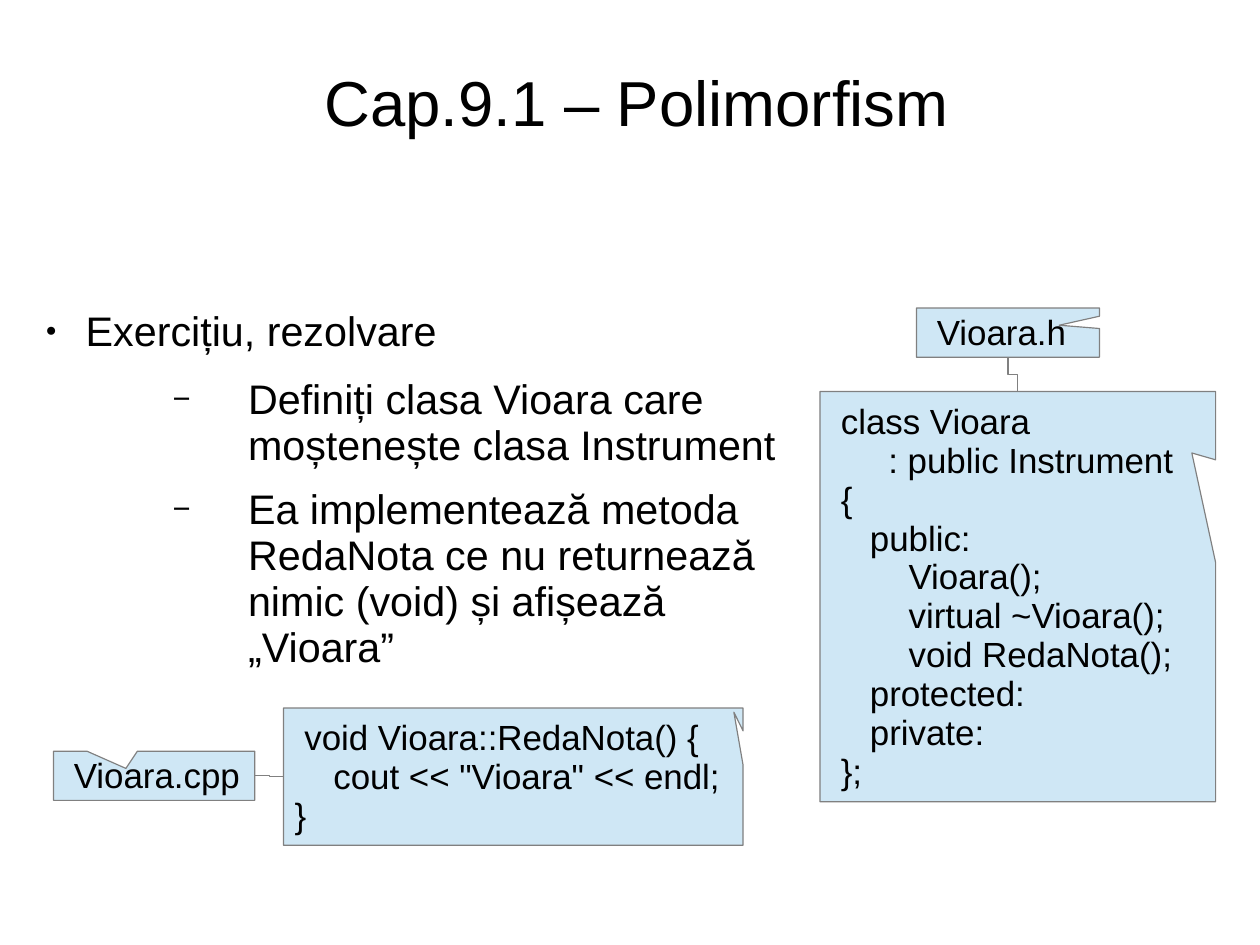
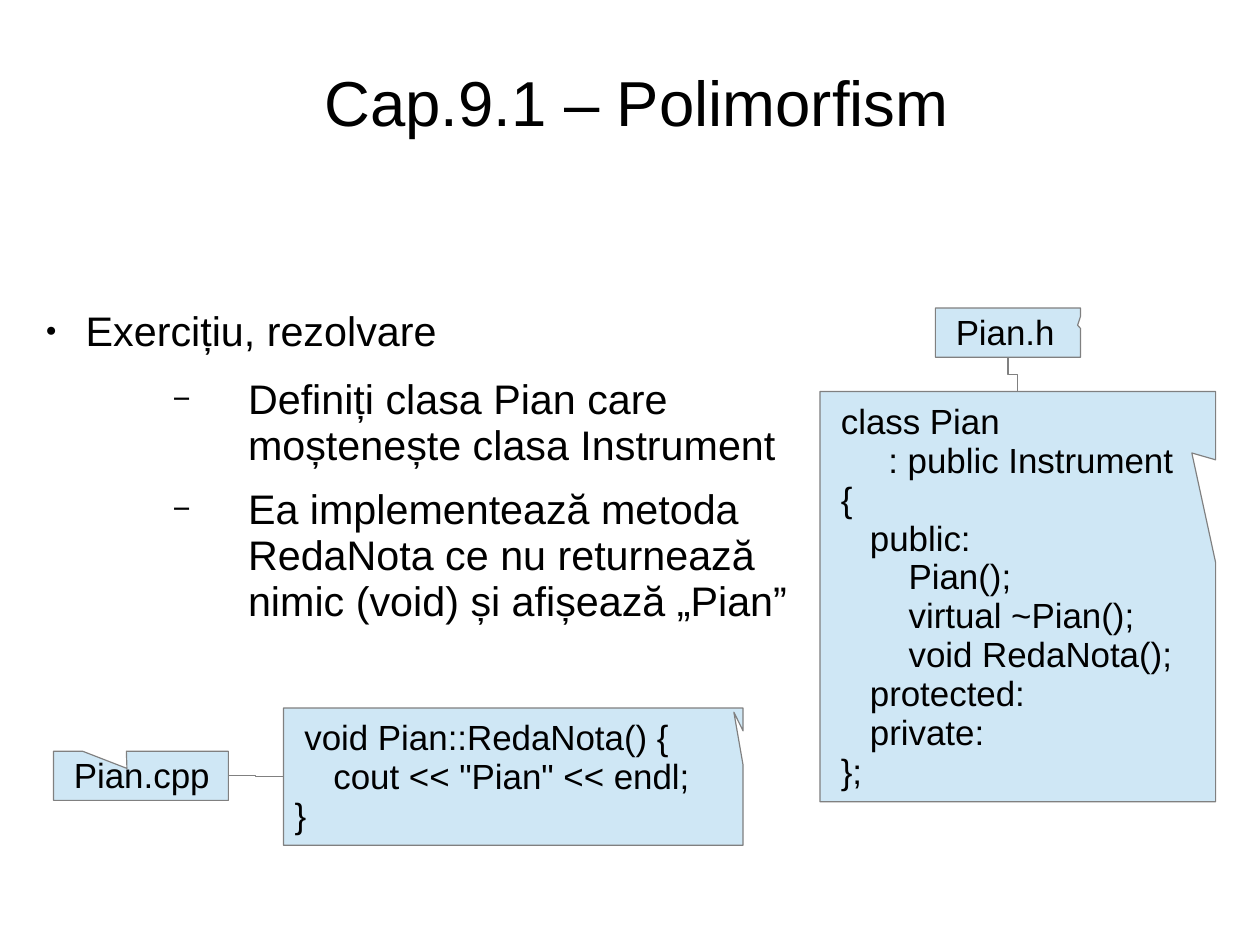
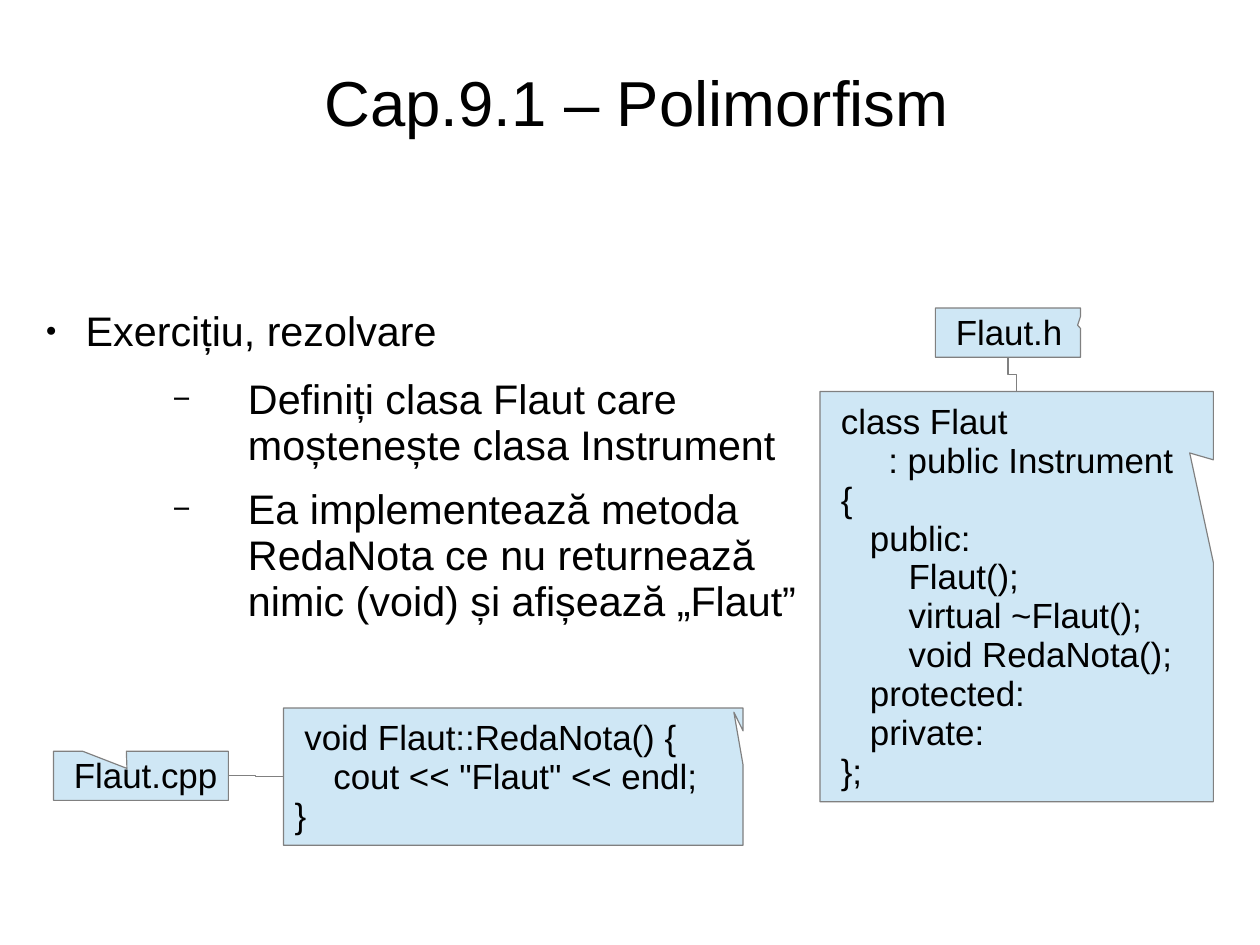
from dataclasses import dataclass

from lxml import etree
from pptx import Presentation
from pptx.dml.color import RGBColor
from pptx.enum.shapes import MSO_CONNECTOR, MSO_SHAPE
from pptx.enum.text import MSO_ANCHOR, PP_ALIGN
from pptx.oxml.ns import qn
from pptx.util import Cm, Emu, Inches, Pt

CALLOUT = MSO_SHAPE.RECTANGULAR_CALLOUT
ELBOW = MSO_CONNECTOR.ELBOW
MIDDLE, TOP = MSO_ANCHOR.MIDDLE, MSO_ANCHOR.TOP
LEFT, CENTER = PP_ALIGN.LEFT, PP_ALIGN.CENTER

COLORS = {"text": "000000", "note": "CFE7F5", "outline": "808080"}
FONT = "Arial"
LINE_SPACING = 0.93
WIDTH, HEIGHT = Cm(28), Cm(21)
COLUMN, ROW = WIDTH / 100, HEIGHT / 100

TITLE = "Cap.9.1 – Polimorfism"
LABEL_HEIGHT = 5.2
HEADER_CENTER, HEADER_TOP = 80, 32.6
SOURCE_LEFT, SOURCE_TOP = 4.25, 79.5
TOP_SITE, LEFT_SITE, BOTTOM_SITE, RIGHT_SITE = range(4)
TAB_STOPS = [0.5 * step for step in range(8)]

DECLARATION = """ class {name}
\t: public Instrument
 {{
    public:
        {name}();
        virtual ~{name}();
        void RedaNota();
    protected:
    private:
 }};"""
DEFINITION = """ void {name}::RedaNota() {{
    cout << "{name}" << endl;
}}"""


@dataclass
class Exercise:
    """One instrument class and the sizes of its notes in grid units."""
    name: str
    header_width: float = 11.52
    header_tip: float = 0.48
    source_width: float = 13.88
    source_tip: float = -0.08
    declaration_width: float = 31.4
    task_width: float = 60.44


EXERCISES = [
    Exercise("Vioara", header_width=14.52, header_tip=0.28,
             source_width=15.97, source_tip=-0.14),
    Exercise("Pian"),
    Exercise("Flaut", declaration_width=31.22, task_width=60.98),
]


def rgb(key):
    """Return a palette colour."""
    return RGBColor.from_string(COLORS[key])


def place(left, top, width, height):
    """Turn grid units into slide lengths."""
    return [Emu(round(share * unit)) for share, unit in
            zip((left, top, width, height), (COLUMN, ROW, COLUMN, ROW))]


def set_frame(frame, margins, anchor=TOP, wrap=True):
    """Set the margins (left, top, right, bottom), anchor and wrapping."""
    (frame.margin_left, frame.margin_top,
     frame.margin_right, frame.margin_bottom) = map(Inches, margins)
    frame.vertical_anchor = anchor
    frame.word_wrap = wrap


def add_text(frame, text, size=22, align=LEFT, margin=0, hanging=0,
             after=0, bullet=None, bullet_share=100, tabs=()):
    """Write one paragraph, reusing the first while it is empty."""
    first = frame.paragraphs[0]
    paragraph = frame.add_paragraph() if first.runs else first
    properties = paragraph._p.get_or_add_pPr()
    properties.set("marL", str(Inches(margin)))
    properties.set("indent", str(-Inches(hanging)))
    if bullet:
        color = etree.SubElement(properties, qn("a:buClr"))
        etree.SubElement(color, qn("a:srgbClr"), val=COLORS["text"])
        etree.SubElement(properties, qn("a:buSzPct"), val=str(bullet_share * 1000))
        etree.SubElement(properties, qn("a:buFont"), typeface=FONT)
        etree.SubElement(properties, qn("a:buChar"), char=bullet)
    if tabs:
        stops = etree.SubElement(properties, qn("a:tabLst"))
        for stop in tabs:
            etree.SubElement(stops, qn("a:tab"), pos=str(Inches(stop)), algn="l")
    paragraph.alignment = align
    paragraph.line_spacing = LINE_SPACING
    paragraph.space_after = Pt(after)
    run = paragraph.add_run()
    run.text = text
    run.font.size, run.font.name = Pt(size), FONT
    run.font.color.rgb = rgb("text")


def add_title(slide):
    """Add the shared slide title."""
    frame = slide.shapes.add_textbox(*place(3.27, 3.39, 94.46, 15)).text_frame
    set_frame(frame, (0, 0.04, 0, 0), MIDDLE)
    add_text(frame, TITLE, size=40, align=CENTER)


def add_task(slide, exercise):
    """Add the exercise statement with its two requirements."""
    area = place(2.54, 32.36, exercise.task_width, 40.63)
    frame = slide.shapes.add_textbox(*area).text_frame
    set_frame(frame, (0, 0.03, 0, 0))
    add_text(frame, "Exercițiu, rezolvare", size=26, margin=0.47, hanging=0.35,
             after=14.1, bullet="●", bullet_share=45)
    for requirement in (
            f"Definiți clasa {exercise.name} care moștenește clasa Instrument",
            "Ea implementează metoda RedaNota ce nu returnează nimic (void) "
            f"și afișează „{exercise.name}”"):
        add_text(frame, requirement, size=26, margin=1.89, hanging=0.66,
                 after=11.4, bullet="−", bullet_share=75)


def add_note(slide, area, tip, text, **text_format):
    """Add a callout holding a file name or code."""
    note = slide.shapes.add_shape(CALLOUT, *place(*area))
    note.adjustments[0], note.adjustments[1] = tip
    note.shadow.inherit = False
    note.fill.solid()
    note.fill.fore_color.rgb = rgb("note")
    note.line.color.rgb = rgb("outline")
    note.line.width = Pt(0.75)
    set_frame(note.text_frame, (0.1, 0.07, 0.1, 0.05), MIDDLE, wrap=False)
    for line in text.split("\n"):
        add_text(note.text_frame, line, **text_format)
    return note


def join_notes(slide, label, label_site, code, code_site):
    """Link a file name to its code with an elbow line."""
    link = slide.shapes.add_connector(ELBOW, 0, 0, 0, 0)
    link.begin_connect(label, label_site)
    link.end_connect(code, code_site)
    link.line.color.rgb = rgb("outline")
    link.line.width = Pt(0.75)
    etree.SubElement(link._element.spPr, qn("a:effectLst"))
    return link


def turn_downward(link):
    """Make an elbow line leave and arrive vertically."""
    across, down = link.width, link.height
    link.left += (across - down) // 2
    link.top += (down - across) // 2
    link.width, link.height = down, across
    frame = link._element.spPr.find(qn("a:xfrm"))
    frame.set("rot", "16200000")
    frame.set("flipH", "1")


def add_exercise(slide, exercise):
    """Fill one slide with the task and its two files."""
    add_title(slide)
    add_task(slide, exercise)
    header_left = HEADER_CENTER - exercise.header_width / 2
    header = add_note(
        slide, (header_left, HEADER_TOP, exercise.header_width, LABEL_HEIGHT),
        (exercise.header_tip, -0.15), f"{exercise.name}.h", margin=0.08)
    declaration = add_note(
        slide, (65.08, 41.43, exercise.declaration_width, 43.41), (0.44, -0.35),
        DECLARATION.format(name=exercise.name), tabs=TAB_STOPS)
    turn_downward(join_notes(slide, header, BOTTOM_SITE, declaration, TOP_SITE))
    source = add_note(
        slide, (SOURCE_LEFT, SOURCE_TOP, exercise.source_width, LABEL_HEIGHT),
        (exercise.source_tip, -0.15), f"{exercise.name}.cpp", margin=0.08)
    definition = add_note(
        slide, (22.5, 74.93, 36.48, 14.51), (0.48, -0.47),
        DEFINITION.format(name=exercise.name), tabs=TAB_STOPS)
    join_notes(slide, source, RIGHT_SITE, definition, LEFT_SITE)


def main():
    """Build and save the presentation."""
    deck = Presentation()
    deck.slide_width, deck.slide_height = WIDTH, HEIGHT
    for exercise in EXERCISES:
        add_exercise(deck.slides.add_slide(deck.slide_layouts[6]), exercise)
    deck.save("out.pptx")


if __name__ == "__main__":
    main()
